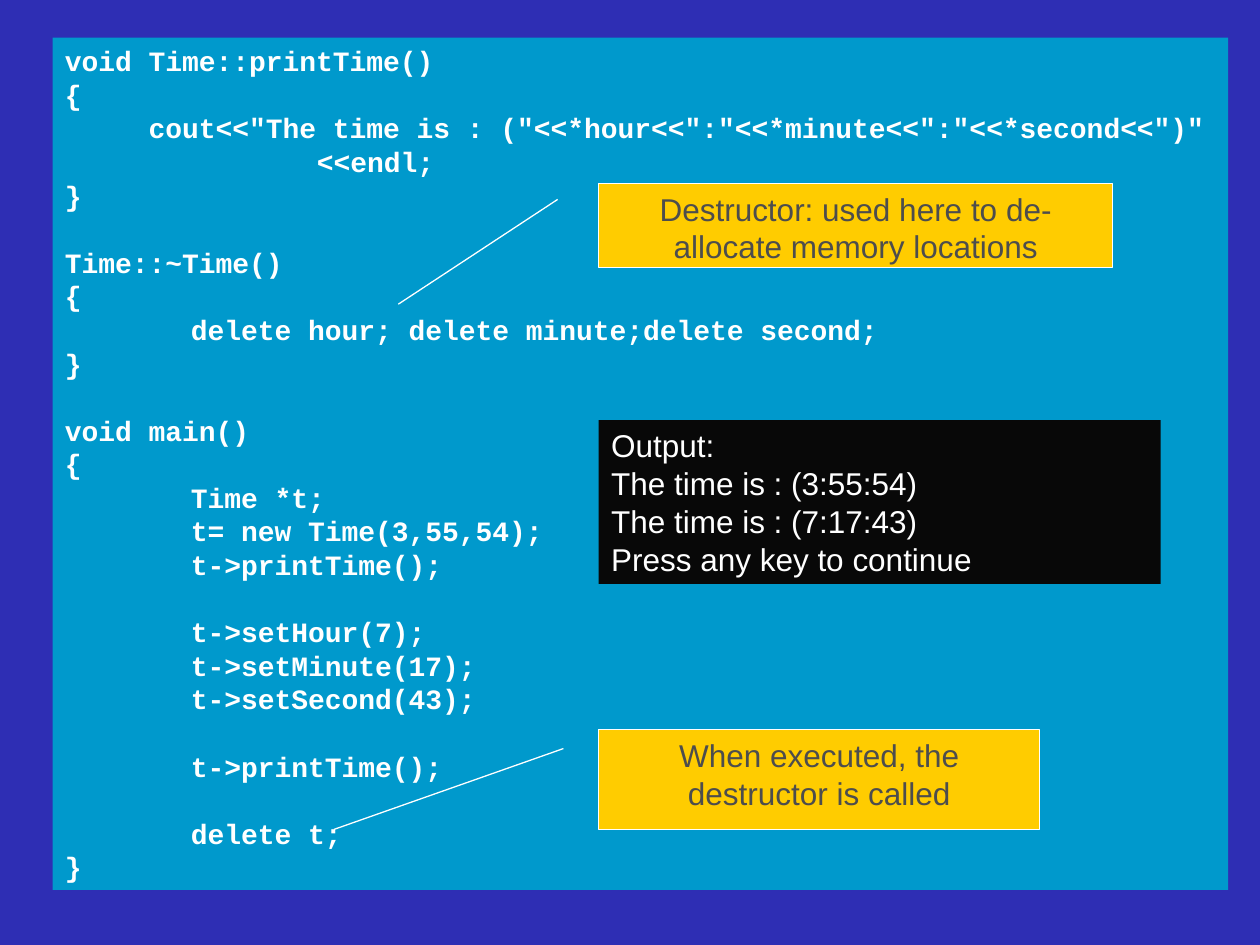
import pptx
import pptx.dml.color
import pptx.enum.shapes
import pptx.enum.text
import pptx.oxml
import pptx.oxml.ns
import pptx.util

Cm = pptx.util.Cm
Pt = pptx.util.Pt
KIND = pptx.enum.shapes.MSO_SHAPE
ALIGN = pptx.enum.text.PP_ALIGN

CODE = '''void Time::printTime()
{
     cout<<"The time is : ("<<*hour<<":"<<*minute<<":"<<*second<<")"
\t\t<<endl;
}

Time::~Time()
{
\tdelete hour; delete minute;delete second;
}

void main()
{
\tTime *t;
\tt= new Time(3,55,54);
\tt->printTime();

\tt->setHour(7);
\tt->setMinute(17);
\tt->setSecond(43);

\tt->printTime();

\tdelete t;
}'''

OUTPUT = '''Output:
The time is : (3:55:54)
The time is : (7:17:43)
Press any key to continue'''

# Text formats
MONO = {"name": "Courier New", "size": Pt(16), "bold": True}
SANS = {"name": "Arial", "size": Pt(18), "bold": False}


def color(code):
    return pptx.dml.color.RGBColor.from_string(code)


def add_tabs(para):
    """Left tab stops at every inch, enough for two levels."""
    space = pptx.oxml.ns.nsdecls("a")
    stops = "".join(f'<a:tab pos="{Cm(2.54 * n)}" algn="l"/>' for n in (1, 2))
    tabs = pptx.oxml.parse_xml(f"<a:tabLst {space}>{stops}</a:tabLst>")
    para._p.get_or_add_pPr().append(tabs)


def write(shape, text, font, ink, align):
    """Write one paragraph a line; an empty line becomes space before."""
    frame = shape.text_frame
    frame.word_wrap = True
    frame.vertical_anchor = pptx.enum.text.MSO_ANCHOR.TOP
    pitch = Pt(font["size"].pt * 1.2)
    para, gap = frame.paragraphs[0], False
    for index, line in enumerate(text.split("\n")):
        if not line:
            gap = True
            continue
        if index:
            para = frame.add_paragraph()
        para.alignment = align
        para.line_spacing = pitch
        para.space_before = pitch if gap else Pt(0)
        gap = False
        if "\t" in line:
            add_tabs(para)
        run = para.add_run()
        run.text = line
        for key, value in font.items():
            setattr(run.font, key, value)
        run.font.color.rgb = color(ink)


def add_box(slide, kind, place, fill):
    shape = slide.shapes.add_shape(kind, *map(Cm, place))
    shape.shadow.inherit = False
    shape.fill.solid()
    shape.fill.fore_color.rgb = color(fill)
    return shape


def add_panel(slide, place, fill, text, font):
    panel = add_box(slide, KIND.RECTANGLE, place, fill)
    panel.line.fill.background()
    write(panel, text, font, "FFFFFF", ALIGN.LEFT)


def add_note(slide, place, tip, text):
    """Callout whose line runs to tip, given as (down, across) shares."""
    note = add_box(slide, KIND.LINE_CALLOUT_1, place, "FFCC00")
    note.line.color.rgb = color("FFFFFF")
    note.line.width = Pt(0.75)
    for index, share in enumerate((0.19, -0.08) + tip):
        note.adjustments[index] = share
    write(note, text, SANS, "4D4D4D", ALIGN.CENTER)


def main():
    deck = pptx.Presentation()
    deck.slide_width, deck.slide_height = Cm(25.4), Cm(19.05)
    slide = deck.slides.add_slide(deck.slide_layouts[6])
    slide.background.fill.solid()
    slide.background.fill.fore_color.rgb = color("2E2EB4")

    # Code listing and its output
    add_panel(slide, (1.06, 0.76, 23.7, 17.18), "0099CC", CODE, MONO)
    add_panel(slide, (12.07, 8.47, 11.33, 3.3), "080808", OUTPUT, SANS)

    # Notes on the destructor
    add_note(slide, (12.07, 3.7, 10.36, 1.69), (1.44, -0.39),
             "Destructor: used here to de-allocate memory locations")
    add_note(slide, (12.07, 14.71, 8.89, 2.01), (1, -0.6),
             "When executed, the destructor is called")

    deck.save("out.pptx")


if __name__ == "__main__":
    main()
